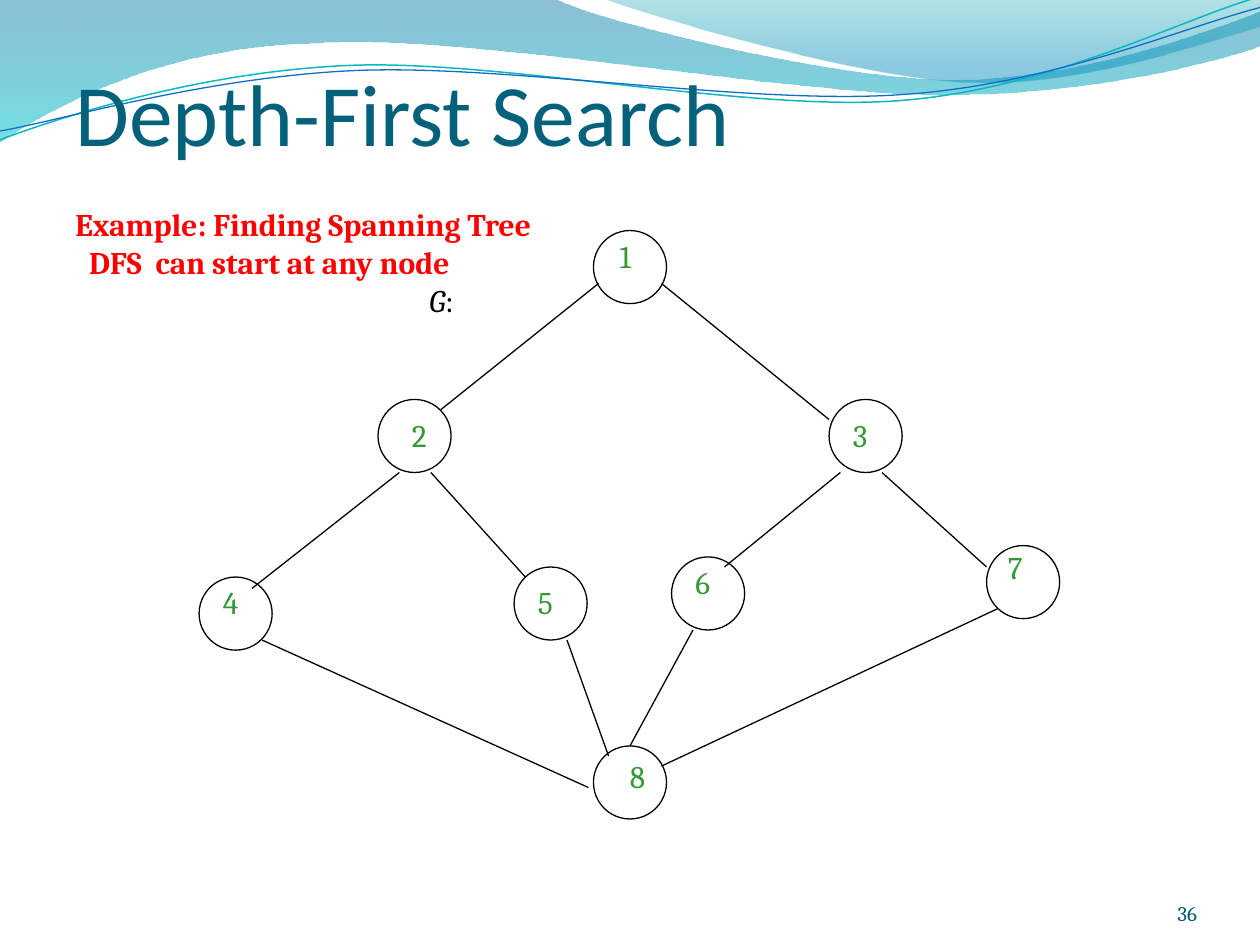
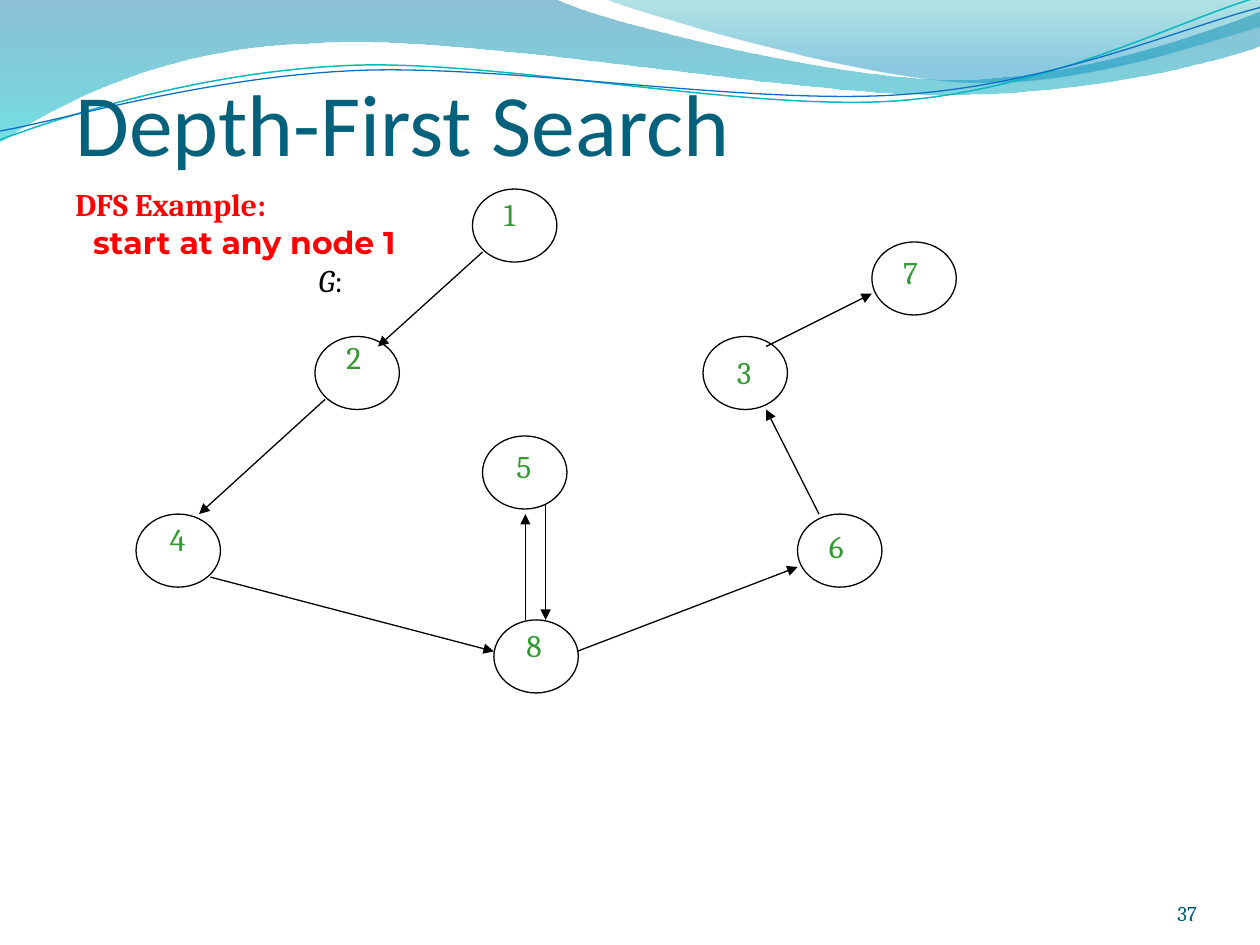
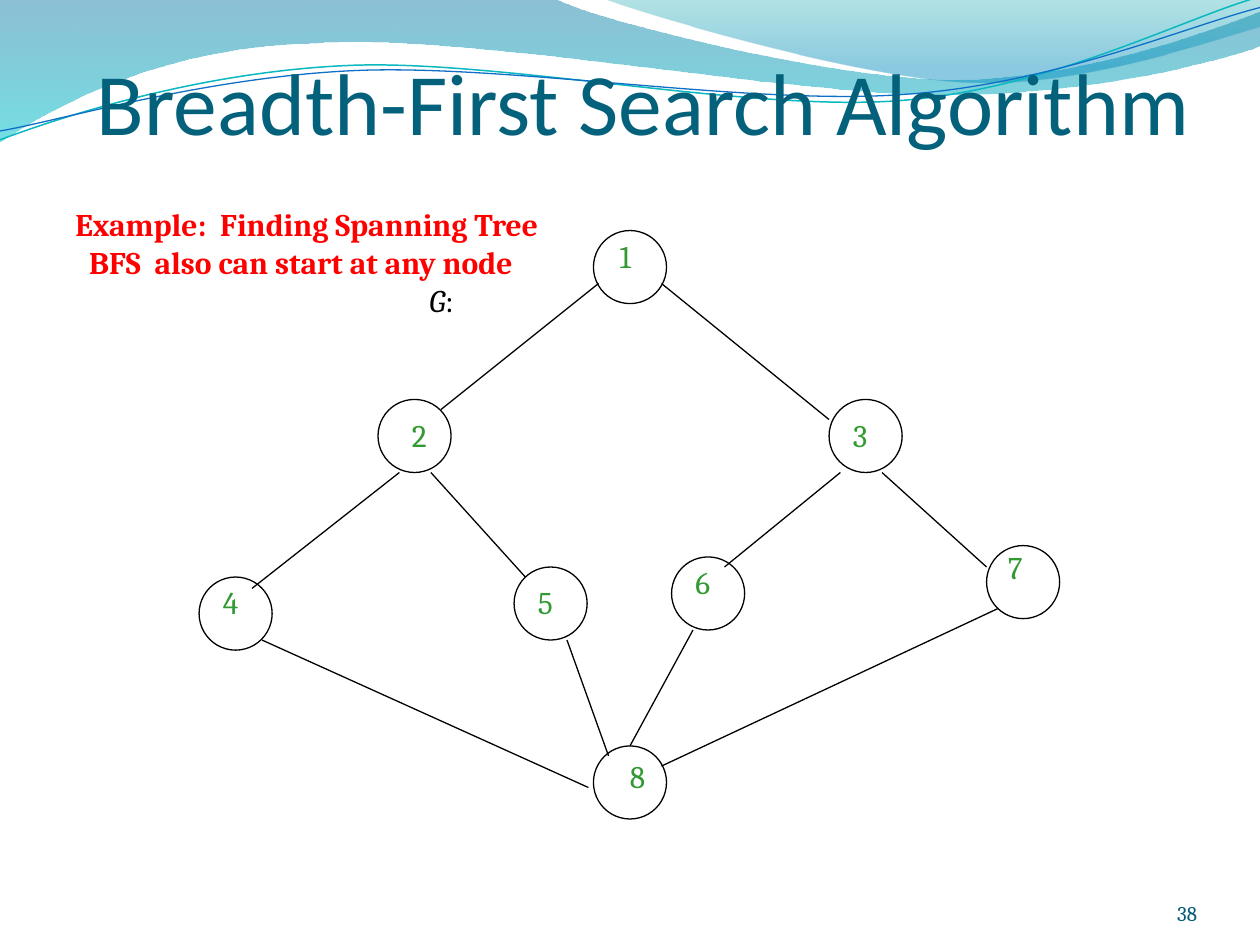
from pptx import Presentation
from pptx.dml.color import RGBColor
from pptx.enum.shapes import MSO_CONNECTOR, MSO_SHAPE
from pptx.enum.text import MSO_ANCHOR, MSO_AUTO_SIZE, PP_ALIGN
from pptx.oxml.ns import qn
from pptx.util import Inches, Pt
from lxml import etree

BLACK = RGBColor(0x00, 0x00, 0x00)
RED = RGBColor(0xFF, 0x00, 0x00)
GREEN = RGBColor(0x33, 0x99, 0x33)
TITLE_BLUE = RGBColor(0x04, 0x61, 0x7B)
NUMBER_BLUE = RGBColor(0x04, 0x5D, 0x75)
SEA_BLUE = RGBColor(0x00, 0x74, 0xA1)
AQUA = RGBColor(0x00, 0xC6, 0xCF)
TEAL = RGBColor(0x00, 0xA1, 0xA9)
SKY_BLUE = RGBColor(0x00, 0x8B, 0xBF)
LINE_TEAL = RGBColor(0x0A, 0xB8, 0xBF)
LINE_BLUE = RGBColor(0x0F, 0x6F, 0xC6)

TITLE_FONT = {"name": "Calibri", "size": Pt(50), "color": TITLE_BLUE}
NUMBER_FONT = {"name": "Cambria", "size": Pt(12), "color": NUMBER_BLUE}
NODE_FONT = {"name": "Cambria", "size": Pt(18), "color": GREEN}
HEAD_FONT = {"name": "Cambria", "size": Pt(18), "color": RED, "bold": True}
GRAPH_FONT = {"name": "Cambria", "size": Pt(18), "color": BLACK}

# Wave outlines: a start point, then lines (x, y) or curves (two controls, end)
# Bands add gradient stops: (position, colour, opacity in percent)
BANDS = [
    ([(0, 0), (4.4, -0.01), (4.76, 0.17, 6.64, 0.63, 7.58, 0.63),
      (8.53, 0.63, 9.58, 0.26, 10, 0.09), (10.01, 0.36),
      (9.83, 0.44, 8.7, 0.76, 7.46, 0.75), (6.22, 0.75, 3.82, 0.28, 2.57, 0.34),
      (1.29, 0.36, 0.46, 0.83, -0.01, 1.13), (0, 0)],
     [(0, SEA_BLUE, 45), (1, AQUA, 55)]),
    ([(4.79, -0.01), (5.09, 0.11, 6.82, 0.62, 7.69, 0.65),
      (8.56, 0.69, 9.61, 0.32, 10, 0.21), (10, 0), (4.79, -0.01)],
     [(0, TEAL, 30), (0.8, SKY_BLUE, 45)]),
]
WAVE_LINES = [
    ([(0, 1.11), (0.48, 0.93, 1.58, 0.57, 2.77, 0.52),
      (3.95, 0.47, 5.93, 0.89, 7.13, 0.8), (8.33, 0.71, 9.38, 0.15, 9.98, -0.02)],
     LINE_TEAL, 0.85),
    ([(0, 1.04), (0.47, 0.96, 1.64, 0.61, 2.83, 0.56),
      (4.03, 0.51, 5.97, 0.84, 7.17, 0.75), (8.36, 0.67, 9.41, 0.21, 10, 0.06)],
     LINE_BLUE, 0.75),
]

# Graphs, relative to their box: node -> x, y, label shift; edges -> from, to
FULL_GRAPH = {
    "size": (0.58, 0.58),
    "nodes": {1: (3.13, 0, 0.11, 0), 2: (1.42, 1.34, 0.17, 0.08),
              3: (5, 1.34, 0.09, 0.08), 4: (0, 2.75, 0.09, 0),
              5: (2.5, 2.67, 0.09, 0.08), 6: (3.75, 2.59, 0.09, 0),
              7: (6.25, 2.5, 0.07, -0.03), 8: (3.13, 4.09, 0.19, 0.04)},
    "edges": [(3.17, 0.42, 1.92, 1.42), (1.59, 1.92, 0.42, 2.84),
              (1.84, 1.92, 2.59, 2.75), (3.67, 0.42, 5, 1.5),
              (5.09, 1.92, 4.17, 2.67), (5.42, 1.92, 6.25, 2.67),
              (3.92, 3.17, 3.42, 4.09), (2.92, 3.25, 3.25, 4.17),
              (0.5, 3.25, 3.09, 4.42), (6.34, 3, 3.67, 4.25)],
    "arrows": False,
}
DFS_WALK = {
    "size": (0.67, 0.58),
    "nodes": {1: (2.67, 0, 0.15, 0), 2: (1.42, 1.17, 0.15, -0.04),
              3: (4.5, 1.17, 0.17, 0.08), 4: (0, 2.58, 0.17, 0),
              5: (2.75, 1.96, 0.17, 0.04), 6: (5.25, 2.58, 0.15, 0.05),
              7: (5.84, 0.42, 0.15, 0.04), 8: (2.84, 3.42, 0.16, 0)},
    "edges": [(2.75, 0.5, 1.92, 1.25), (1.5, 1.67, 0.5, 2.58),
              (0.59, 3.08, 2.84, 3.67), (3.5, 3.67, 5.25, 3),
              (5.42, 2.58, 5, 1.75), (5, 1.25, 5.84, 0.83),
              (3.09, 3.42, 3.09, 2.58), (3.25, 2.5, 3.25, 3.42)],
    "arrows": True,
}


def add_run(p, text, font):
    r = p.add_run()
    r.text = text
    for key, value in font.items():
        if key == "color":
            r.font.color.rgb = value
        else:
            setattr(r.font, key, value)


def add_text(s, box, text, font, **frame):
    tf = s.shapes.add_textbox(*map(Inches, box)).text_frame
    for key, value in {"word_wrap": True, **frame}.items():
        setattr(tf, key, value)
    if text:
        add_run(tf.paragraphs[0], text, font)
    return tf


def add_outline(s, outline, close):
    """Draw a freeform through the end points, then bend its curved parts."""
    ends = [(Inches(part[-2]), Inches(part[-1])) for part in outline]
    builder = s.shapes.build_freeform(*ends[0], scale=1.0)
    builder.add_line_segments(ends[1:], close=close)
    sp = builder.convert_to_shape()
    sp.shadow.inherit = False
    segments = list(sp._element.spPr.iter(qn("a:lnTo")))
    for segment, part in zip(segments, outline[1:]):
        if len(part) == 2:
            continue
        segment.tag = qn("a:cubicBezTo")
        for i in (0, 1):
            control = etree.Element(qn("a:pt"))
            control.set("x", str(Inches(part[2 * i]) - sp.left))
            control.set("y", str(Inches(part[2 * i + 1]) - sp.top))
            segment.insert(i, control)
    return sp


def add_waves(s):
    # Translucent bands
    for outline, stops in BANDS:
        sp = add_outline(s, outline, True)
        sp.line.fill.background()
        sp.fill.gradient()
        sp.fill.gradient_angle = 270
        for stop, (position, color, _) in zip(sp.fill.gradient_stops, stops):
            stop.position = position
            stop.color.rgb = color
        colors = sp._element.spPr.iter(qn("a:srgbClr"))
        for node, (_, _, opacity) in zip(list(colors), stops):
            etree.SubElement(node, qn("a:alpha")).set("val", str(opacity * 1000))
    # Thin lines
    for outline, color, width in WAVE_LINES:
        sp = add_outline(s, outline, False)
        sp.fill.background()
        sp.line.color.rgb = color
        sp.line.width = Pt(width)


def add_caption(s, top, lines, graph_indent):
    """Red heading lines as (text, indent, font name), then the graph's name."""
    tf = add_text(s, (0, top, 9.27, 1.31), "", HEAD_FONT)
    p = tf.paragraphs[0]
    for text, indent, name in lines:
        p._p.get_or_add_pPr().set("marL", str(Inches(indent)))
        add_run(p, text, {**HEAD_FONT, "name": name})
        p = tf.add_paragraph()
    p._p.get_or_add_pPr().set("marL", str(Inches(graph_indent)))
    add_run(p, "G", {**GRAPH_FONT, "italic": True})
    add_run(p, ":", GRAPH_FONT)


def add_edge(s, x1, y1, x2, y2, arrow):
    line = s.shapes.add_connector(MSO_CONNECTOR.STRAIGHT, *map(Inches, (x1, y1, x2, y2)))
    line.line.color.rgb = BLACK
    line.line.width = Pt(0.75)
    if arrow:
        etree.SubElement(line.line._get_or_add_ln(), qn("a:tailEnd")).set("type", "triangle")
    etree.SubElement(line._element.spPr, qn("a:effectLst"))


def add_graph(s, left, top, graph):
    # Nodes
    for x, y, _, _ in graph["nodes"].values():
        sp = s.shapes.add_shape(MSO_SHAPE.OVAL, Inches(left + x), Inches(top + y),
                                *map(Inches, graph["size"]))
        sp.shadow.inherit = False
        sp.fill.background()
        sp.line.color.rgb = BLACK
        sp.line.width = Pt(0.75)
    # Edges
    for x1, y1, x2, y2 in graph["edges"]:
        add_edge(s, left + x1, top + y1, left + x2, top + y2, graph["arrows"])
    # Labels
    for number, (x, y, dx, dy) in graph["nodes"].items():
        add_text(s, (left + x + dx, top + y + dy, 0.37, 0.5), str(number), NODE_FONT,
                 word_wrap=False, auto_size=MSO_AUTO_SIZE.SHAPE_TO_FIT_TEXT)


def add_graph_slide(prs, number, title, title_at, caption, graph, graph_at):
    s = prs.slides.add_slide(prs.slide_layouts[6])
    add_waves(s)
    tf = add_text(s, (8.67, 6.95, 0.83, 0.4), str(number), NUMBER_FONT,
                  vertical_anchor=MSO_ANCHOR.BOTTOM, margin_left=0, margin_right=0,
                  margin_top=0, margin_bottom=0)
    tf.paragraphs[0].alignment = PP_ALIGN.RIGHT
    add_caption(s, *caption)
    add_graph(s, *graph_at, graph)
    add_text(s, (*title_at, 9, 1.25), title, TITLE_FONT)


def main():
    prs = Presentation()
    prs.slide_width, prs.slide_height = Inches(10), Inches(7.5)
    add_graph_slide(
        prs, 36, "Depth-First Search", (0.5, 0.42),
        (1.58, [("Example: Finding Spanning Tree", 0.5, "Cambria"),
                ("DFS  can start at any node", 0.61, "Cambria")], 3.31),
        FULL_GRAPH, (1.58, 1.83))
    add_graph_slide(
        prs, 37, "Depth-First Search", (0.5, 0.5),
        (1.42, [("DFS Example:", 0.5, "Cambria"),
                ("start at any node 1", 0.64, "Montserrat")], 2.43),
        DFS_WALK, (1.08, 1.5))
    add_graph_slide(
        prs, 38, "Breadth-First Search Algorithm", (0.67, 0.33),
        (1.58, [("Example:  Finding Spanning Tree", 0.5, "Cambria"),
                ("BFS  also can start at any node", 0.61, "Cambria")], 3.31),
        FULL_GRAPH, (1.58, 1.83))
    prs.save("out.pptx")


if __name__ == "__main__":
    main()
